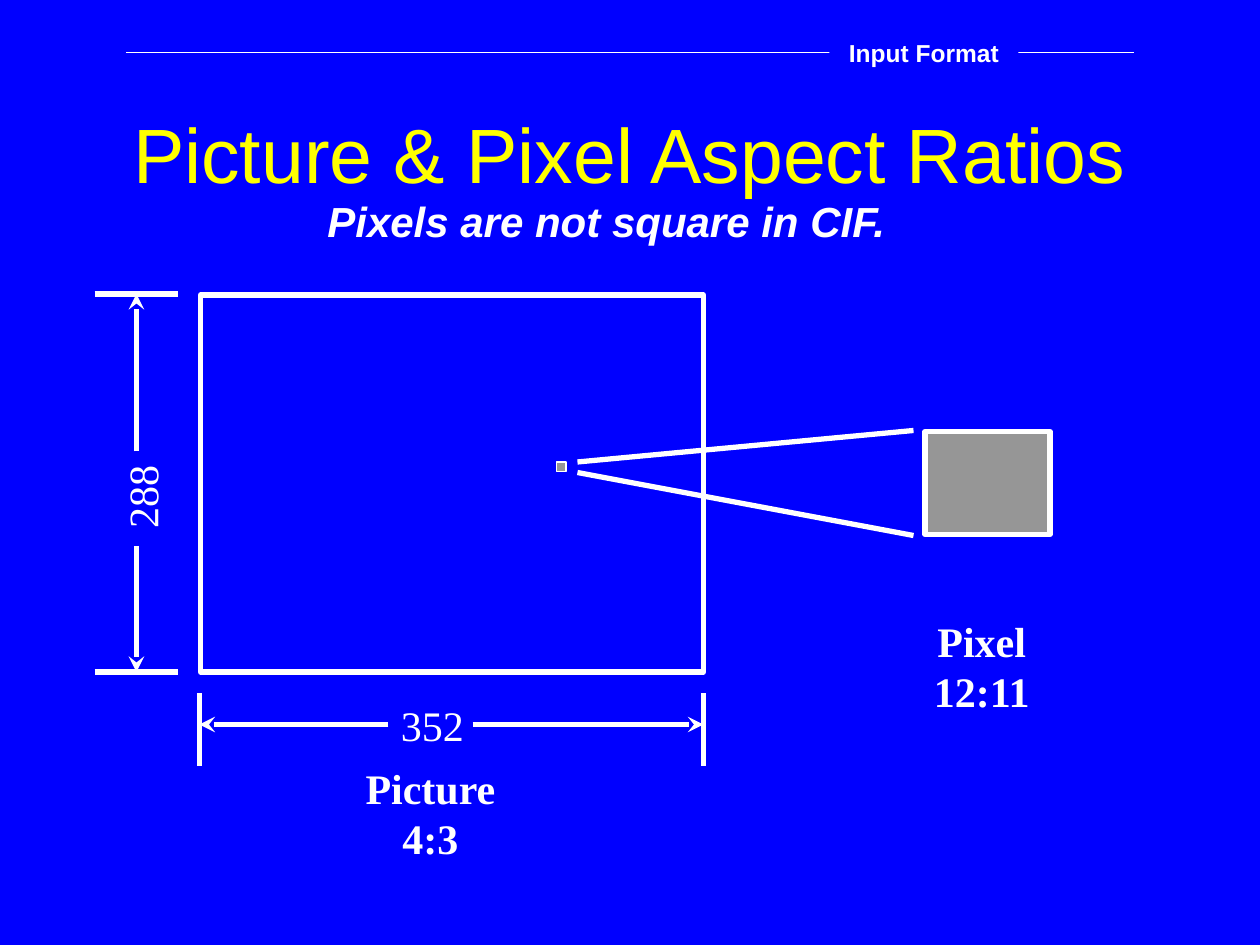
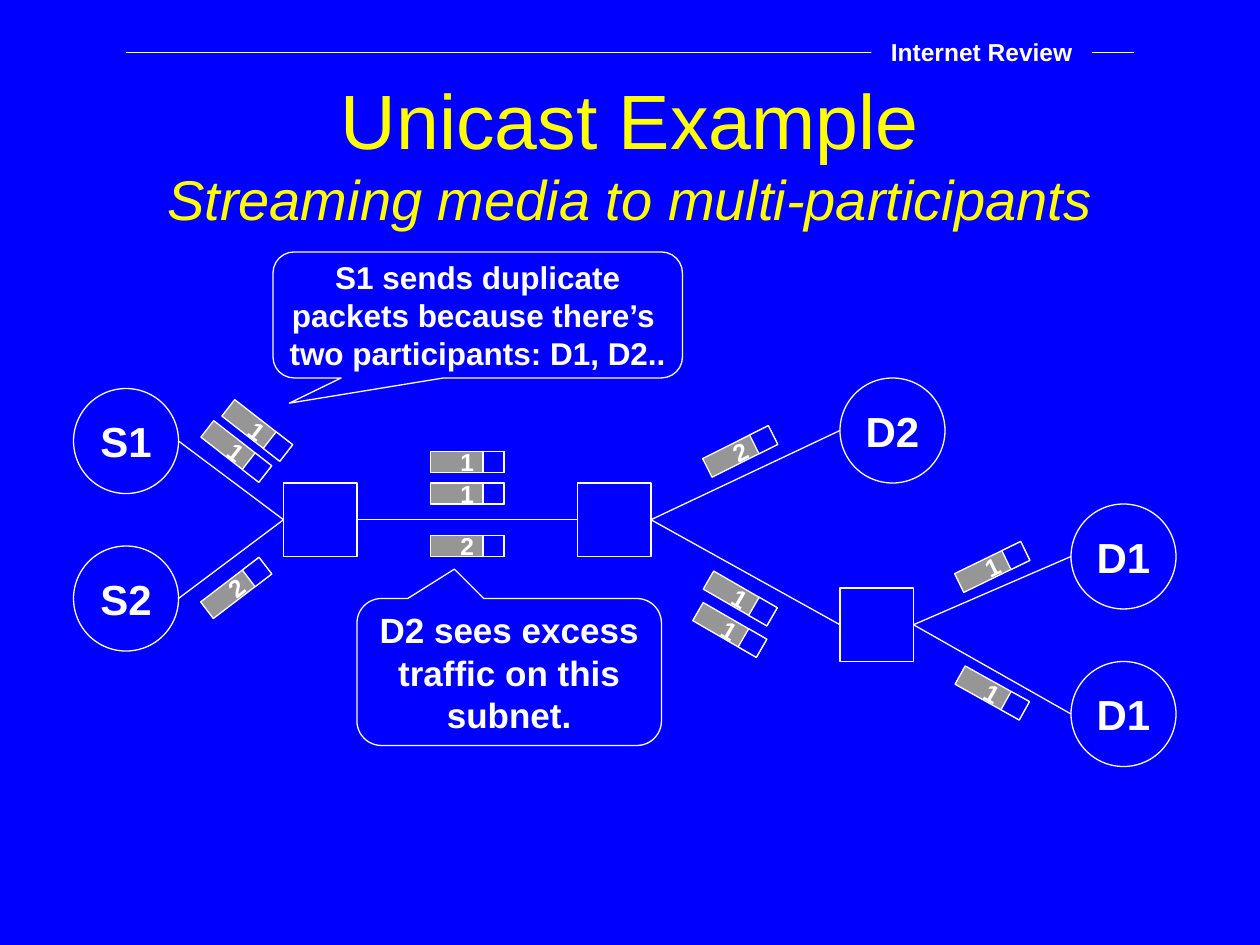
"""Builds two slides on pixel aspect ratios and unicast streaming."""
from dataclasses import dataclass
from math import cos, radians, sin

from lxml import etree
from pptx import Presentation
from pptx.dml.color import RGBColor
from pptx.enum.shapes import MSO_CONNECTOR, MSO_SHAPE
from pptx.enum.text import MSO_ANCHOR, MSO_AUTO_SIZE, PP_ALIGN
from pptx.oxml.ns import qn
from pptx.util import Inches, Pt

RECTANGLE = MSO_SHAPE.RECTANGLE
ELLIPSE = MSO_SHAPE.OVAL
CALLOUT = MSO_SHAPE.ROUNDED_RECTANGULAR_CALLOUT
STRAIGHT = MSO_CONNECTOR.STRAIGHT
MIDDLE, TOP = MSO_ANCHOR.MIDDLE, MSO_ANCHOR.TOP
CENTER, LEFT = PP_ALIGN.CENTER, PP_ALIGN.LEFT
NO_AUTOFIT = MSO_AUTO_SIZE.NONE
TITLE_ONLY = 5
COLUMNS, ROWS = 120, 90


@dataclass(frozen=True)
class Theme:
    """Colours, fonts, type sizes and line widths of the deck."""
    back: RGBColor = RGBColor(0x00, 0x00, 0xFF)
    ink: RGBColor = RGBColor(0xFF, 0xFF, 0xFF)
    title: RGBColor = RGBColor(0xFF, 0xFF, 0x00)
    grey: RGBColor = RGBColor(0x96, 0x96, 0x96)
    sans: str = "Arial"
    serif: str = "Times New Roman"
    title_size: int = 44
    subtitle_size: int = 32
    label_size: int = 24
    remark_size: int = 20
    note_size: int = 18
    tag_size: int = 14
    thick: float = 3
    medium: float = 1
    thin: float = 0.75


THEME = Theme()


def cells(*counts):
    """Turn counts of grid cells, 12 to the inch, into lengths."""
    return [Inches(count / 12) for count in counts]


def write(para, text, size=THEME.label_size, font=THEME.sans,
          color=THEME.ink, bold=False, italic=False):
    """Add one formatted span of text to a paragraph."""
    span = para.add_run()
    span.text = text
    span.font.size, span.font.name = Pt(size), font
    span.font.bold, span.font.italic = bold, italic
    span.font.color.rgb = color


def fill_text(shape, text, align=CENTER, anchor=MIDDLE, wrap=False, **style):
    """Put each line of the text in its own paragraph of the shape."""
    frame = shape.text_frame
    frame.word_wrap, frame.vertical_anchor = wrap, anchor
    for index, line in enumerate(text.split("\n")):
        para = frame.add_paragraph() if index else frame.paragraphs[0]
        para.alignment = align
        write(para, line, **style)


def add_label(page, place, text, rotation=0, align=CENTER, **style):
    """Add a text box."""
    box = page.shapes.add_textbox(*cells(*place))
    box.rotation = rotation
    fill_text(box, text, align=align, anchor=TOP, wrap=True, **style)


def add_box(parent, kind, place, fill=THEME.back, width=THEME.thin, rotation=0):
    """Add a filled shape, outlined unless its line width is zero."""
    box = parent.shapes.add_shape(kind, *cells(*place))
    box.shadow.inherit = False
    box.rotation = rotation
    box.fill.solid()
    box.fill.fore_color.rgb = fill
    if width:
        box.line.color.rgb, box.line.width = THEME.ink, Pt(width)
    else:
        box.line.fill.background()
    return box


def add_line(page, start, end, width=THEME.thin, arrow=False):
    """Add a straight line, with a stealth arrowhead at its end if asked."""
    line = page.shapes.add_connector(STRAIGHT, *cells(*start, *end))
    line.line.color.rgb, line.line.width = THEME.ink, Pt(width)
    if arrow:
        etree.SubElement(line.line._get_or_add_ln(), qn("a:tailEnd"), type="stealth")
    etree.SubElement(line._element.spPr, qn("a:effectLst"))


def add_dimension(page, axis, ends, gap, tick, upright=False):
    """Draw a measure: a tick at each end and arrows leaving a gap for the label."""
    def point(along, across):
        return (across, along) if upright else (along, across)

    for end, inner in zip(ends, gap):
        add_line(page, point(end, tick[0]), point(end, tick[1]), THEME.thick)
        add_line(page, point(inner, axis), point(end, axis), THEME.thick, arrow=True)


def start_page(deck, title, section, tag_place, subtitle=None):
    """Add a slide with its title, header rule and section tag."""
    page = deck.slides.add_slide(deck.slide_layouts[TITLE_ONLY])
    heading = page.shapes.title
    heading.left, heading.top, heading.width, heading.height = cells(9, 7, 102, 15)
    fill_text(heading, title, wrap=True, size=THEME.title_size, color=THEME.title)
    heading.text_frame.auto_size = NO_AUTOFIT
    if subtitle:
        para = heading.text_frame.paragraphs[0]
        para.add_line_break()
        write(para, subtitle, size=THEME.subtitle_size, color=THEME.title, italic=True)
    add_line(page, (12, 5), (108, 5))
    tag = add_box(page, RECTANGLE, tag_place, width=0)
    fill_text(tag, section, wrap=True, size=THEME.tag_size, bold=True)
    return page


def add_node(page, left, top, name=None):
    """Add a named host circle or a plain router square; return its side ports."""
    size = 10 if name else 7
    node = add_box(page, ELLIPSE if name else RECTANGLE, (left, top, size, size))
    if name:
        fill_text(node, name, bold=True)
    middle = top + size / 2
    return (left, middle), (left + size, middle)


def add_packet(page, left, top, angle, stream):
    """Add a tilted packet: a grey body with its stream number and a header cell."""
    packet = page.shapes.add_group_shape()
    body = add_box(packet, RECTANGLE, (left, top, 7, 2), THEME.grey, rotation=angle)
    fill_text(body, stream, size=THEME.tag_size, bold=True)
    turn = radians(angle)
    header_left = left + 2.5 + 2.5 * cos(turn)
    header_top = top + 2.5 * sin(turn)
    add_box(packet, RECTANGLE, (header_left, header_top, 2, 2), rotation=angle)


def add_callout(page, place, tip, text, size):
    """Add a speech bubble whose tip is given as shares of its size."""
    bubble = add_box(page, CALLOUT, place)
    for index, share in enumerate((*tip, 0.167)):
        bubble.adjustments[index] = share
    fill_text(bubble, text, size=size, bold=True)


def build_ratios(deck):
    """Build the slide on picture and pixel aspect ratios."""
    page = start_page(deck, "Picture & Pixel Aspect Ratios", "Input Format",
                      (79, 3, 18, 4.1))
    add_label(page, (30, 18, 68, 6), "Pixels are not square in CIF.",
              align=LEFT, bold=True, italic=True)
    add_box(page, RECTANGLE, (19.1, 28.1, 47.9, 35.9), width=THEME.thick)
    add_box(page, RECTANGLE, (88.1, 41.1, 11.9, 9.8), THEME.grey, THEME.thick)
    add_box(page, RECTANGLE, (53, 44, 0.9, 0.9), THEME.grey, THEME.medium)
    add_line(page, (55, 44), (87, 41), THEME.thick)
    add_line(page, (55, 45), (87, 51), THEME.thick)
    add_dimension(page, 13, (28, 64), (43, 52), (9, 17), upright=True)
    add_dimension(page, 69, (19, 67), (37, 45), (66, 73))
    add_label(page, (37, 66, 10, 6), "352", align=LEFT, font=THEME.serif)
    add_label(page, (9, 44, 9, 6), "288", rotation=270, align=LEFT, font=THEME.serif)
    add_label(page, (32, 72, 18, 10.8), "Picture\n4:3", font=THEME.serif, bold=True)
    add_label(page, (84, 58, 19, 10.8), "Pixel\n12:11", font=THEME.serif, bold=True)


def build_unicast(deck):
    """Build the slide that follows unicast packets through a network."""
    page = start_page(deck, "Unicast Example", "Internet Review", (83, 2.9, 21, 4.1),
                      subtitle="Streaming media to multi-participants")
    nodes = {
        "source 1": add_node(page, 7, 37, "S1"),
        "source 2": add_node(page, 7, 52, "S2"),
        "entry": add_node(page, 27, 46),
        "fork": add_node(page, 55, 46),
        "branch": add_node(page, 80, 56),
        "viewer 2": add_node(page, 80, 36, "D2"),
        "upper viewer 1": add_node(page, 102, 48, "D1"),
        "lower viewer 1": add_node(page, 102, 63, "D1"),
    }
    links = [("source 1", "entry"), ("source 2", "entry"), ("entry", "fork"),
             ("fork", "viewer 2"), ("fork", "branch"),
             ("branch", "upper viewer 1"), ("branch", "lower viewer 1")]
    for sender, receiver in links:
        add_line(page, nodes[sender][1], nodes[receiver][0])
    packets = [(19, 42, 37.9, "1"), (21, 40, 37.9, "1"), (19, 55, -37.4, "2"),
               (41, 43, 0, "1"), (41, 46, 0, "1"), (41, 51, 0, "2"),
               (67, 42, -26.6, "2"), (67, 56, 30, "1"), (66, 59, 30, "1"),
               (91, 53, -25.9, "1"), (91, 65, 29.1, "1")]
    for packet in packets:
        add_packet(page, *packet)
    add_callout(page, (26, 24, 39, 12), (-0.46, 0.7),
                "S1 sends duplicate\npackets because there’s \n"
                "two participants: D1, D2..", THEME.note_size)
    add_callout(page, (34, 57, 29, 14), (-0.18, -0.7),
                "D2 sees excess\ntraffic on this\nsubnet.", THEME.remark_size)


def main():
    """Build and save the deck."""
    deck = Presentation()
    deck.slide_width, deck.slide_height = cells(COLUMNS, ROWS)
    backdrop = deck.slide_master.background.fill
    backdrop.solid()
    backdrop.fore_color.rgb = THEME.back
    build_ratios(deck)
    build_unicast(deck)
    deck.save("out.pptx")


if __name__ == "__main__":
    main()
